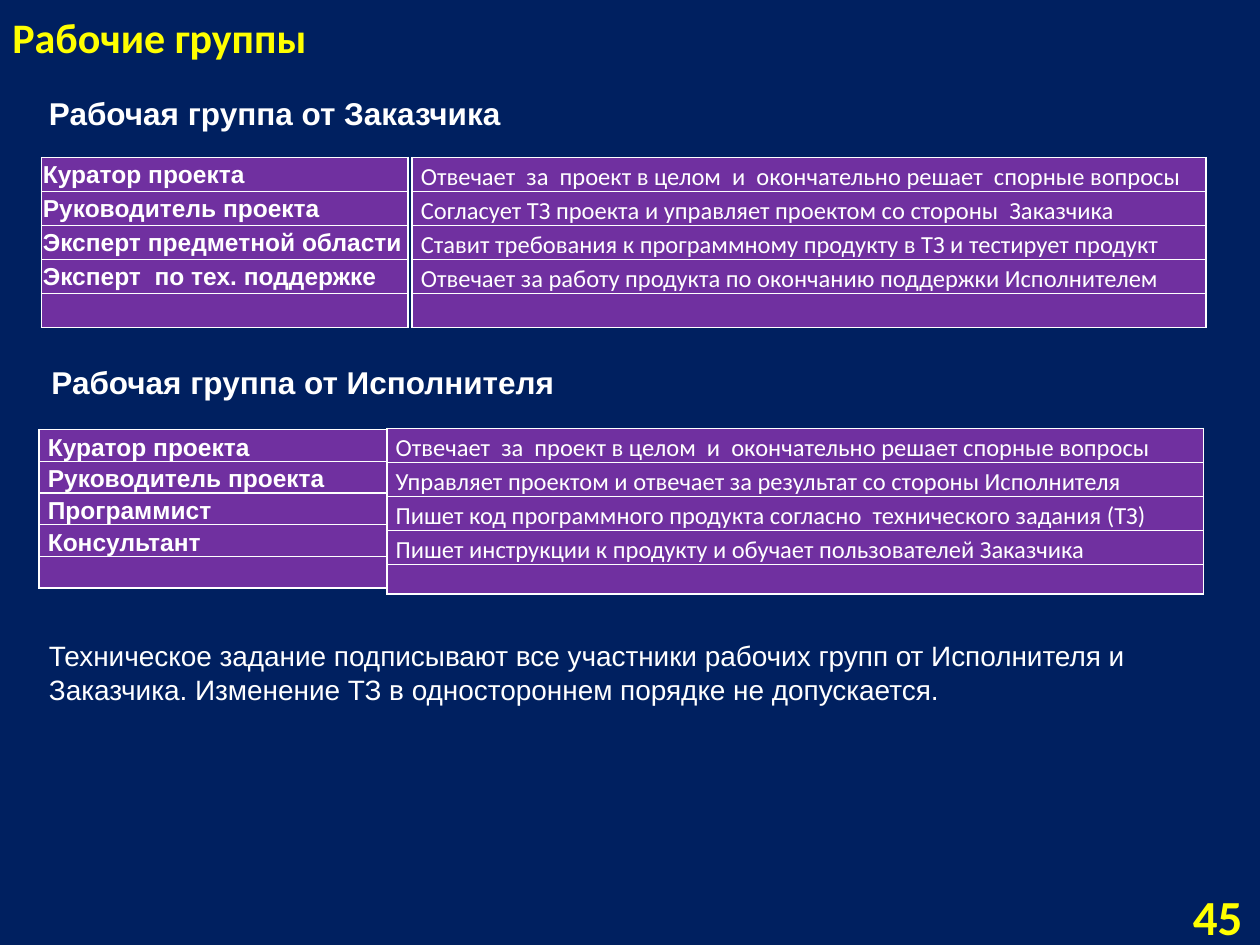
from dataclasses import dataclass

from lxml import etree
from pptx import Presentation
from pptx.dml.color import RGBColor
from pptx.enum.shapes import MSO_SHAPE
from pptx.enum.text import MSO_ANCHOR, PP_ALIGN
from pptx.oxml.ns import qn
from pptx.util import Inches, Pt

RECTANGLE = MSO_SHAPE.RECTANGLE
TOP, MIDDLE, BOTTOM = MSO_ANCHOR.TOP, MSO_ANCHOR.MIDDLE, MSO_ANCHOR.BOTTOM
LEFT, RIGHT = PP_ALIGN.LEFT, PP_ALIGN.RIGHT


@dataclass(frozen=True)
class Theme:
    navy: RGBColor = RGBColor.from_string("002060")
    purple: RGBColor = RGBColor.from_string("7030A0")
    white: RGBColor = RGBColor.from_string("FFFFFF")
    yellow: RGBColor = RGBColor.from_string("FFFF00")
    body_font: str = "Arial"
    accent_font: str = "Calibri"
    number_size: int = 28
    title_size: int = 24
    heading_size: int = 18
    note_size: int = 16
    cell_size: int = 14


theme = Theme()


def write(frame, text, font, size, color, bold, anchor=TOP, align=LEFT):
    frame.text = text
    frame.word_wrap = True
    frame.vertical_anchor = anchor
    paragraph = frame.paragraphs[0]
    paragraph.alignment = align
    for run in paragraph.runs:
        run.font.name = font
        run.font.size = Pt(size)
        run.font.bold = bold
        run.font.color.rgb = color


def add_column(left, top, width, row_heights, texts, font, bold, compact=False):
    """Add a one-column table; compact cells are tight and centred vertically."""
    table = slide.shapes.add_table(len(texts), 1, Inches(left), Inches(top),
                                   Inches(width), Inches(sum(row_heights))).table
    table.first_row = table.horz_banding = False
    for row, height, text in zip(table.rows, row_heights, texts):
        row.height = Inches(height)
        cell = row.cells[0]
        write(cell.text_frame, text, font, theme.cell_size, theme.white, bold)
        cell.vertical_anchor = MIDDLE if compact else TOP
        cell.margin_left = cell.margin_right = Inches(0.01 if compact else 0.07)
        cell.margin_top = Inches(0.01 if compact else 0)
        cell.margin_bottom = 0
        paragraph = cell.text_frame.paragraphs[0]
        if not text:
            # An empty cell takes its height from the end-of-paragraph size
            end = etree.SubElement(paragraph._p, qn("a:endParaRPr"))
            end.set("sz", str(theme.cell_size * 100))
        elif not compact:
            paragraph.line_spacing = 1.15
            paragraph.space_after = Pt(10)
        cell.fill.solid()
        cell.fill.fore_color.rgb = theme.purple
        properties = cell._tc.get_or_add_tcPr()
        for index, side in enumerate(("lnL", "lnR", "lnT", "lnB")):
            border = etree.Element(qn(f"a:{side}"), w=str(Pt(1)))
            fill = etree.SubElement(border, qn("a:solidFill"))
            etree.SubElement(fill, qn("a:srgbClr"), val=str(theme.white))
            properties.insert(index, border)


prs = Presentation()
prs.slide_width, prs.slide_height = Inches(10), Inches(7.5)
slide = prs.slides.add_slide(prs.slide_layouts[6])
slide.background.fill.solid()
slide.background.fill.fore_color.rgb = theme.navy

# Roles of the two groups
add_column(0.31, 3.41, 2.76, [0.25] * 5,
           ["Куратор проекта", "Руководитель проекта", "Программист",
            "Консультант", ""], theme.body_font, True)
add_column(0.33, 1.25, 2.91, [0.27] * 5,
           ["Куратор проекта", "Руководитель проекта", "Эксперт предметной области",
            "Эксперт  по тех. поддержке", ""], theme.body_font, True, compact=True)

# Title, group headings and closing note
texts = [
    (0.31, 2.83, 5.35, 0.4, "Рабочая группа от Исполнителя",
     theme.body_font, theme.heading_size, theme.white, True, TOP),
    (0.29, 0.7, 4.8, 0.4, "Рабочая группа от Заказчика",
     theme.body_font, theme.heading_size, theme.white, True, TOP),
    (0, 0, 2.72, 0.54, "Рабочие группы",
     theme.accent_font, theme.title_size, theme.yellow, True, BOTTOM),
    (0.29, 5.02, 9.42, 0.64,
     "Техническое задание подписывают все участники рабочих групп от Исполнителя "
     "и Заказчика. Изменение ТЗ в одностороннем порядке не допускается.",
     theme.body_font, theme.note_size, theme.white, False, TOP),
]
for left, top, width, height, text, font, size, color, bold, anchor in texts:
    box = slide.shapes.add_textbox(Inches(left), Inches(top), Inches(width), Inches(height))
    write(box.text_frame, text, font, size, color, bold, anchor)

page_number = slide.shapes.add_shape(RECTANGLE, Inches(8.94), Inches(7.07),
                                     Inches(1.02), Inches(0.4))
page_number.shadow.inherit = False
page_number.fill.solid()
page_number.fill.fore_color.rgb = theme.navy
page_number.line.fill.background()
write(page_number.text_frame, "45", theme.accent_font, theme.number_size,
      theme.yellow, True, MIDDLE, RIGHT)

# Duties of the two groups
add_column(3.07, 3.4, 6.48, [0.27] * 4 + [0.22],
           ["Отвечает  за  проект в целом  и  окончательно решает спорные вопросы",
            "Управляет проектом и отвечает за результат со стороны Исполнителя",
            "Пишет код программного продукта согласно  технического задания (ТЗ)",
            "Пишет инструкции к продукту и обучает пользователей Заказчика", ""],
           theme.accent_font, False)
add_column(3.27, 1.25, 6.3, [0.27] * 5,
           ["Отвечает  за  проект в целом  и  окончательно решает  спорные вопросы",
            "Согласует ТЗ проекта и управляет проектом со стороны  Заказчика",
            "Ставит требования к программному продукту в ТЗ и тестирует продукт",
            "Отвечает за работу продукта по окончанию поддержки Исполнителем", ""],
           theme.accent_font, False)

prs.save("out.pptx")
